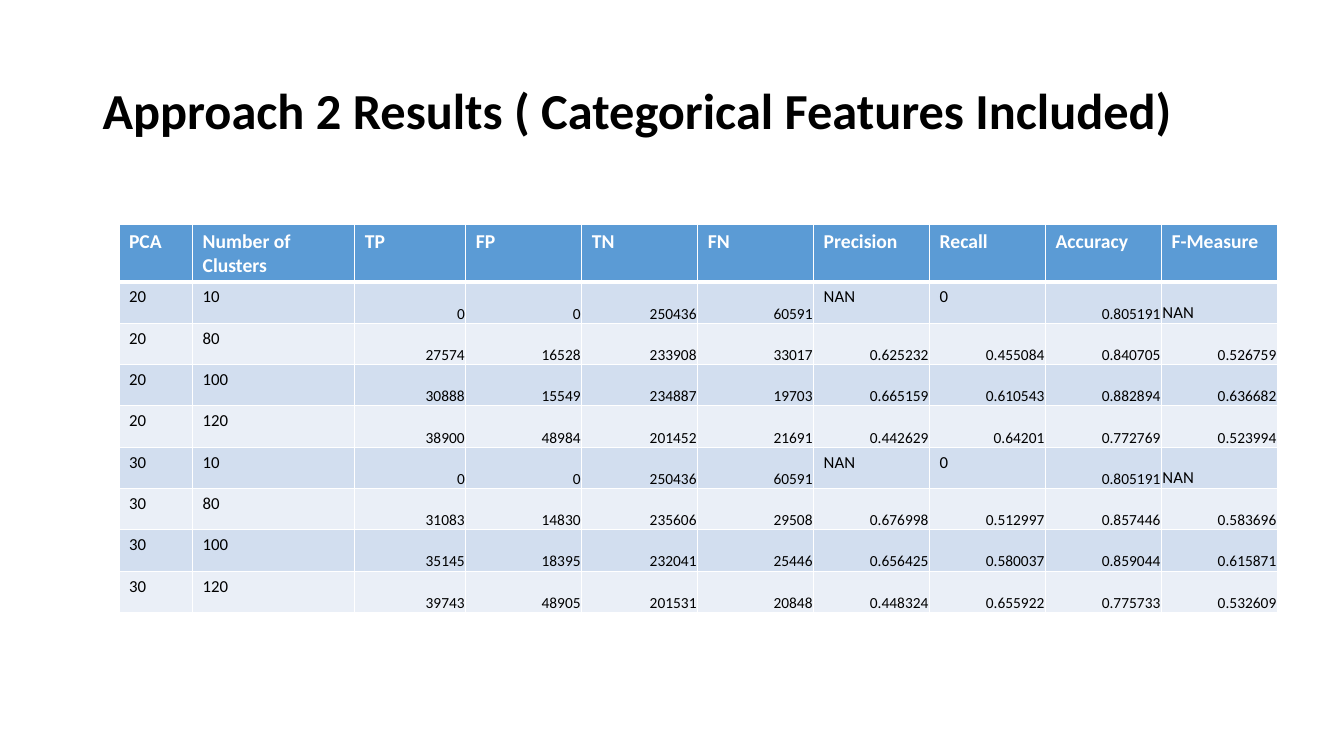
from lxml import etree
from pptx import Presentation
from pptx.dml.color import RGBColor
from pptx.enum.text import MSO_ANCHOR, PP_ALIGN
from pptx.oxml.ns import qn
from pptx.util import Inches, Pt

TOP, MIDDLE, BOTTOM = MSO_ANCHOR.TOP, MSO_ANCHOR.MIDDLE, MSO_ANCHOR.BOTTOM
LEFT, RIGHT = PP_ALIGN.LEFT, PP_ALIGN.RIGHT
FONT = "Calibri"
WHITE, BLACK, HEADER_FILL = "FFFFFF", "000000", "5B9BD5"
BANDS = ("D2DEEF", "EAEFF7")

COLUMN_WIDTHS = [0.73, 1.61, 1.1] + [1.15] * 7
ROW_HEIGHT = 0.41
HEADERS = ["PCA", "Number of Clusters", "TP", "FP", "TN", "FN",
           "Precision", "Recall", "Accuracy", "F-Measure"]
RESULTS = [
    "20 10 0 0 250436 60591 NAN 0 0.805191 NAN",
    "20 80 27574 16528 233908 33017 0.625232 0.455084 0.840705 0.526759",
    "20 100 30888 15549 234887 19703 0.665159 0.610543 0.882894 0.636682",
    "20 120 38900 48984 201452 21691 0.442629 0.64201 0.772769 0.523994",
    "30 10 0 0 250436 60591 NAN 0 0.805191 NAN",
    "30 80 31083 14830 235606 29508 0.676998 0.512997 0.857446 0.583696",
    "30 100 35145 18395 232041 25446 0.656425 0.580037 0.859044 0.615871",
    "30 120 39743 48905 201531 20848 0.448324 0.655922 0.775733 0.532609",
]


def rgb(value):
    return RGBColor.from_string(value)


def write(tf, text, size, color, bold=False, align=LEFT):
    p = tf.paragraphs[0]
    p.text = text
    p.alignment = align
    p.font.name, p.font.size, p.font.bold = FONT, Pt(size), bold
    p.font.color.rgb = rgb(color)
    return p


def add_title(s, text):
    sp = s.shapes.add_textbox(Inches(0.92), Inches(0.4), Inches(11.5), Inches(1.45))
    tf = sp.text_frame
    tf.word_wrap = True
    tf.vertical_anchor = MIDDLE
    write(tf, text, 36, BLACK, bold=True).line_spacing = 0.9


def set_borders(cell, bottom=1):
    # Border lines come before the fill in the cell properties
    tcPr = cell._tc.get_or_add_tcPr()
    for i, (side, width) in enumerate(zip("LRTB", (1, 1, 1, bottom))):
        ln = etree.Element(qn(f"a:ln{side}"), w=str(Pt(width)))
        fill = etree.SubElement(ln, qn("a:solidFill"))
        etree.SubElement(fill, qn("a:srgbClr"), val=WHITE)
        tcPr.insert(i, ln)


def fill_cell(cell, text, fill, size=12, color=BLACK, bold=False, align=LEFT,
              tight=False, bottom=1):
    cell.fill.solid()
    cell.fill.fore_color.rgb = rgb(fill)
    cell.vertical_anchor = BOTTOM if tight else TOP
    if tight:
        cell.margin_left = cell.margin_right = cell.margin_top = Inches(0.01)
        cell.margin_bottom = 0
    write(cell.text_frame, text, size, color, bold, align)
    set_borders(cell, bottom)


def fill_result(cell, col, text, fill, undefined):
    """Labels sit top left; measured values sit bottom right."""
    is_label = col < 2 or (undefined and HEADERS[col] in ("Precision", "Recall"))
    if is_label:
        fill_cell(cell, text, fill)
    elif text == "NAN":
        fill_cell(cell, text, fill, tight=True)
    else:
        fill_cell(cell, text, fill, size=11, align=RIGHT, tight=True)


def add_results_table(s):
    rows = len(RESULTS) + 1
    table = s.shapes.add_table(rows, len(HEADERS), Inches(1.18), Inches(2.23),
                               Inches(sum(COLUMN_WIDTHS)),
                               Inches(rows * ROW_HEIGHT)).table
    for column, width in zip(table.columns, COLUMN_WIDTHS):
        column.width = Inches(width)
    for row in table.rows:
        row.height = Inches(ROW_HEIGHT)

    # Header row
    for col, text in enumerate(HEADERS):
        fill_cell(table.cell(0, col), text, HEADER_FILL, 14, WHITE, True, bottom=3)

    # Banded result rows
    for i, line in enumerate(RESULTS):
        values = line.split()
        for col, text in enumerate(values):
            fill_result(table.cell(i + 1, col), col, text, BANDS[i % 2],
                        "NAN" in values)


def main():
    prs = Presentation()
    prs.slide_width, prs.slide_height = Inches(13.33), Inches(7.5)
    s = prs.slides.add_slide(prs.slide_layouts[6])
    add_title(s, "Approach 2 Results ( Categorical Features Included)")
    add_results_table(s)
    prs.save("out.pptx")


if __name__ == "__main__":
    main()
